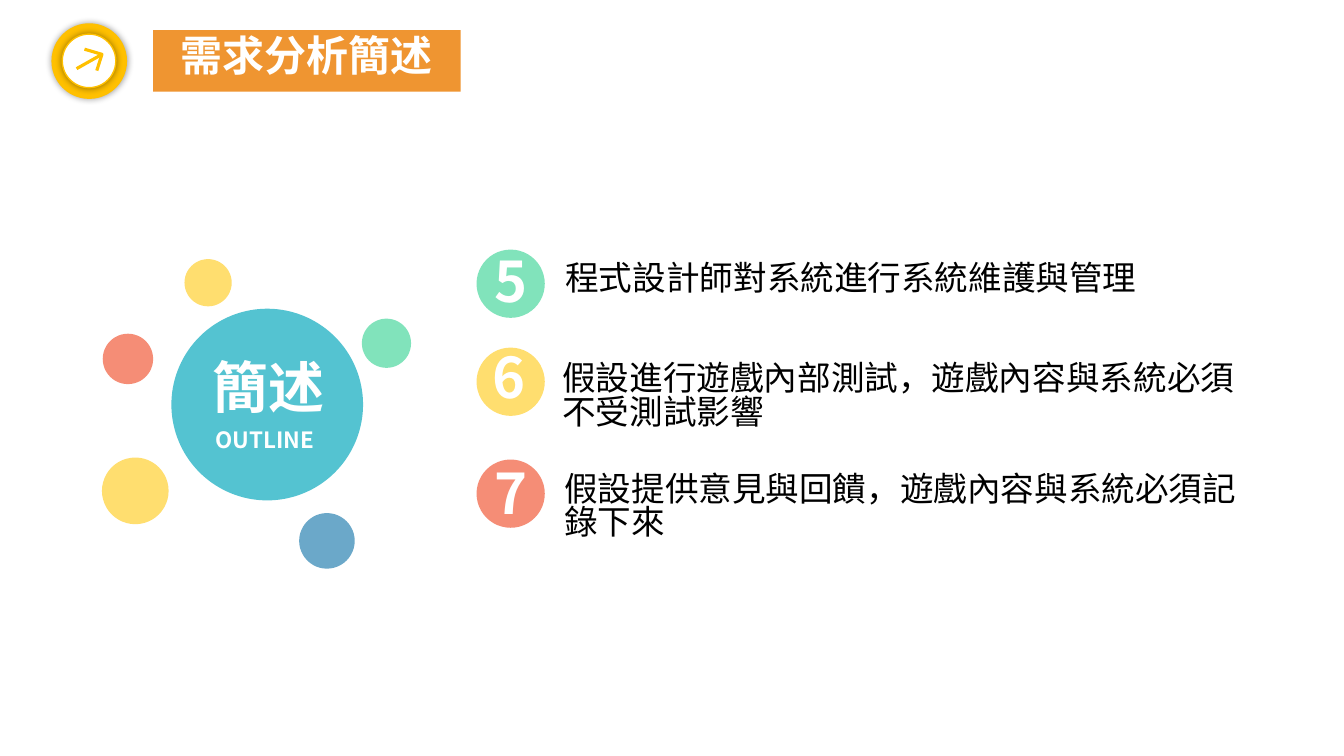
from dataclasses import dataclass
from lxml.etree import SubElement
from pptx import Presentation
from pptx.dml.color import RGBColor
from pptx.enum.shapes import MSO_CONNECTOR, MSO_SHAPE
from pptx.enum.text import MSO_ANCHOR, MSO_AUTO_SIZE, PP_ALIGN
from pptx.oxml.ns import qn
from pptx.util import Cm, Pt

FONT = "Noto Sans CJK SC"
LINE_SPACING = 0.84
WHITE = RGBColor(0xFF, 0xFF, 0xFF)
BLACK = RGBColor(0, 0, 0)
ORANGE = RGBColor(0xEF, 0x95, 0x31)
GOLD = RGBColor(0xFF, 0xC0, 0x00)
MINT = RGBColor(0x81, 0xE3, 0xBB)
YELLOW = RGBColor(0xFF, 0xDE, 0x6F)
CORAL = RGBColor(0xF5, 0x8D, 0x76)
TEAL = RGBColor(0x54, 0xC3, 0xD1)
BLUE = RGBColor(0x6B, 0xA8, 0xC9)


@dataclass
class Circle:
    """A filled circle, in centimetres, with an optional outline in points."""
    left: float
    top: float
    size: float
    color: RGBColor
    outline: float = 0


@dataclass
class Label:
    """A text box, in centimetres, with its text style."""
    text: str
    left: float
    top: float
    width: float
    height: float
    size: int
    color: RGBColor = WHITE
    bold: bool = True


@dataclass
class Item:
    """A numbered point: its circle, number and text."""
    circle: Circle
    number: Label
    text: Label


def numbered(number: str, color: RGBColor, top: float, digit: tuple[float, float],
             text: str, at: tuple[float, float], size: tuple[float, float]) -> Item:
    """Describe one numbered point."""
    return Item(Circle(12.01, top, 1.72, color),
                Label(number, *digit, 1.4, 1.96, 40),
                Label(text, *at, *size, 24, BLACK, False))


BADGE = [Circle(1.35, 0.64, 1.8, GOLD, 3), Circle(1.57, 0.86, 1.35, WHITE, 1)]
ARROW_HEAD = [(2.13, 1.24), (2.57, 1.37), (2.44, 1.78)]
ARROW_TAIL = (1.93, 1.73)

BUBBLES = [
    Circle(4.32, 7.78, 4.83, TEAL),
    Circle(2.57, 11.53, 1.68, YELLOW),
    Circle(2.59, 8.41, 1.27, CORAL),
    Circle(4.65, 6.53, 1.19, YELLOW),
    Circle(9.12, 8.03, 1.24, MINT),
    Circle(7.54, 12.93, 1.4, BLUE),
]
BUBBLE_LABELS = [
    Label("簡述", 5.11, 8.92, 3.35, 1.96, 40),
    Label("OUTLINE", 5.18, 10.69, 3.1, 0.94, 16),
]
ITEMS = [
    numbered("5", MINT, 6.29, (12.22, 6.25), "程式設計師對系統進行系統維護與管理",
             (14, 6.45), (15.04, 1.27)),
    numbered("6", YELLOW, 8.76, (12.17, 8.69),
             "假設進行遊戲內部測試，遊戲內容與系統必須\n不受測試影響",
             (13.92, 8.97), (17.6, 2.31)),
    numbered("7", CORAL, 11.58, (12.22, 11.61),
             "假設提供意見與回饋，遊戲內容與系統必須記\n錄下來",
             (13.97, 11.76), (17.6, 2.31)),
]


def write(sp, text: str, size: int, color: RGBColor, bold: bool, align: PP_ALIGN) -> None:
    """Fill a shape with text and format every run."""
    tf = sp.text_frame
    tf.text = text
    tf.auto_size = MSO_AUTO_SIZE.SHAPE_TO_FIT_TEXT
    tf.margin_top = Pt(3.6 + 0.07 * size)
    for p in tf.paragraphs:
        p.alignment = align
        p.line_spacing = LINE_SPACING
        for r in p.runs:
            r.font.size = Pt(size)
            r.font.bold = bold
            r.font.color.rgb = color
            r.font.name = FONT
            SubElement(r.font._element, qn("a:ea"), typeface=FONT)


def add_label(s, label: Label) -> None:
    """Add a left-aligned text box that does not wrap."""
    sp = s.shapes.add_textbox(Cm(label.left), Cm(label.top), Cm(label.width), Cm(label.height))
    write(sp, label.text, label.size, label.color, label.bold, PP_ALIGN.LEFT)
    sp.text_frame.word_wrap = False


def add_circle(s, circle: Circle):
    """Add a filled circle and return it."""
    sp = s.shapes.add_shape(MSO_SHAPE.OVAL, Cm(circle.left), Cm(circle.top),
                            Cm(circle.size), Cm(circle.size))
    sp.fill.solid()
    sp.fill.fore_color.rgb = circle.color
    if circle.outline:
        sp.line.color.rgb = GOLD
        sp.line.width = Pt(circle.outline)
    else:
        sp.line.fill.background()
    sp.shadow.inherit = False
    return sp


def add_glow_shadow(sp) -> None:
    """Give a shape a soft black shadow with no offset."""
    effects = sp.element.spPr.find(qn("a:effectLst"))
    shadow = SubElement(effects, qn("a:outerShdw"), blurRad=str(Pt(5)), dist="0",
                        algn="ctr", rotWithShape="0")
    black = SubElement(shadow, qn("a:srgbClr"), val="000000")
    SubElement(black, qn("a:alpha"), val="40000")


def add_badge(s) -> None:
    """Add the round badge with its arrow."""
    for circle in BADGE:
        add_glow_shadow(add_circle(s, circle))
    points = [(Cm(x), Cm(y)) for x, y in ARROW_HEAD]
    builder = s.shapes.build_freeform(*points[0])
    builder.add_line_segments(points[1:], close=False)
    head = builder.convert_to_shape()
    head.fill.background()
    head.shadow.inherit = False
    shaft = s.shapes.add_connector(MSO_CONNECTOR.STRAIGHT, *map(Cm, ARROW_TAIL), *points[1])
    SubElement(shaft.element.spPr, qn("a:effectLst"))
    for stroke in (head, shaft):
        stroke.line.color.rgb = GOLD
        stroke.line.width = Pt(2.25)


def add_title(s) -> None:
    """Add the title bar."""
    sp = s.shapes.add_shape(MSO_SHAPE.RECTANGLE, Cm(3.86), Cm(0.76), Cm(7.75), Cm(1.55))
    sp.fill.solid()
    sp.fill.fore_color.rgb = ORANGE
    sp.line.fill.background()
    sp.shadow.inherit = False
    write(sp, "需求分析簡述", 30, WHITE, True, PP_ALIGN.CENTER)
    sp.text_frame.word_wrap = True
    sp.text_frame.vertical_anchor = MSO_ANCHOR.TOP


prs = Presentation()
prs.slide_width, prs.slide_height = Cm(33.87), Cm(19.05)
s = prs.slides.add_slide(prs.slide_layouts[6])
add_title(s)
for item in ITEMS:
    add_circle(s, item.circle)
    add_label(s, item.number)
    add_label(s, item.text)
add_badge(s)
for bubble in BUBBLES:
    add_circle(s, bubble)
for label in BUBBLE_LABELS:
    add_label(s, label)
prs.save("out.pptx")
